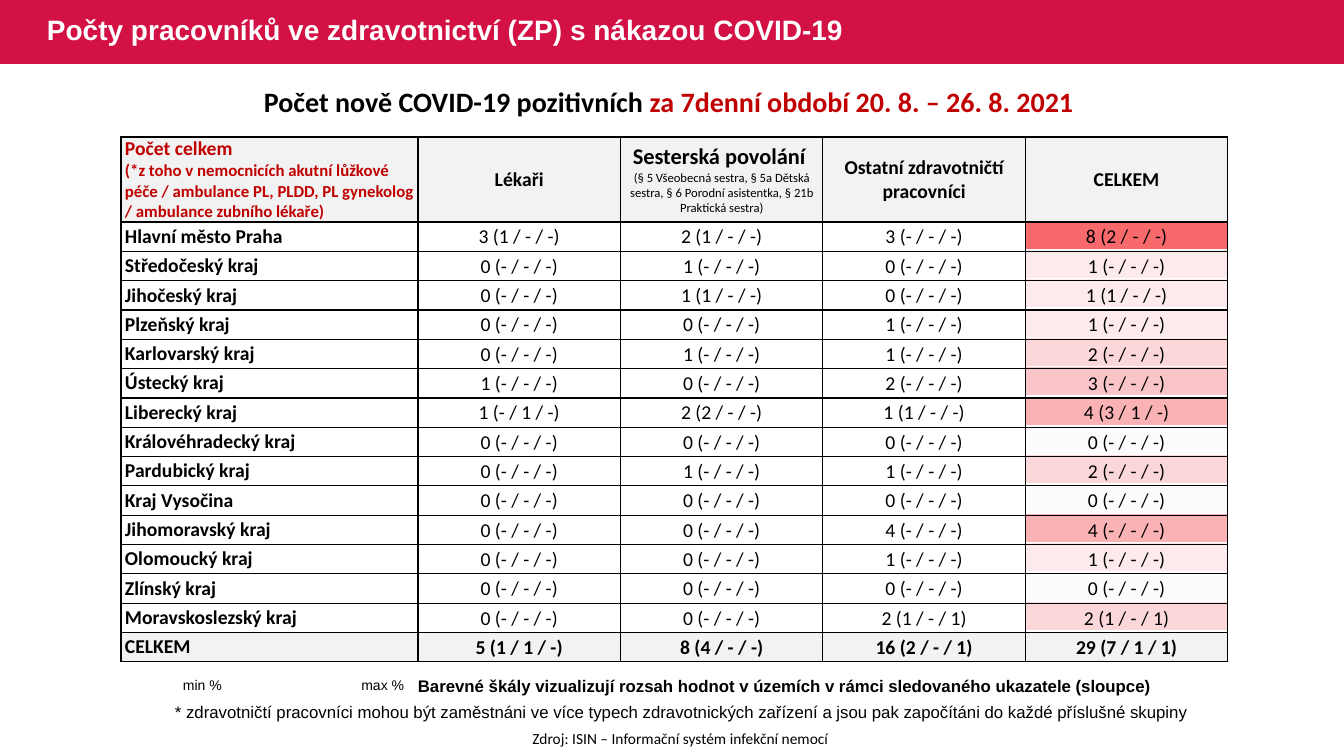
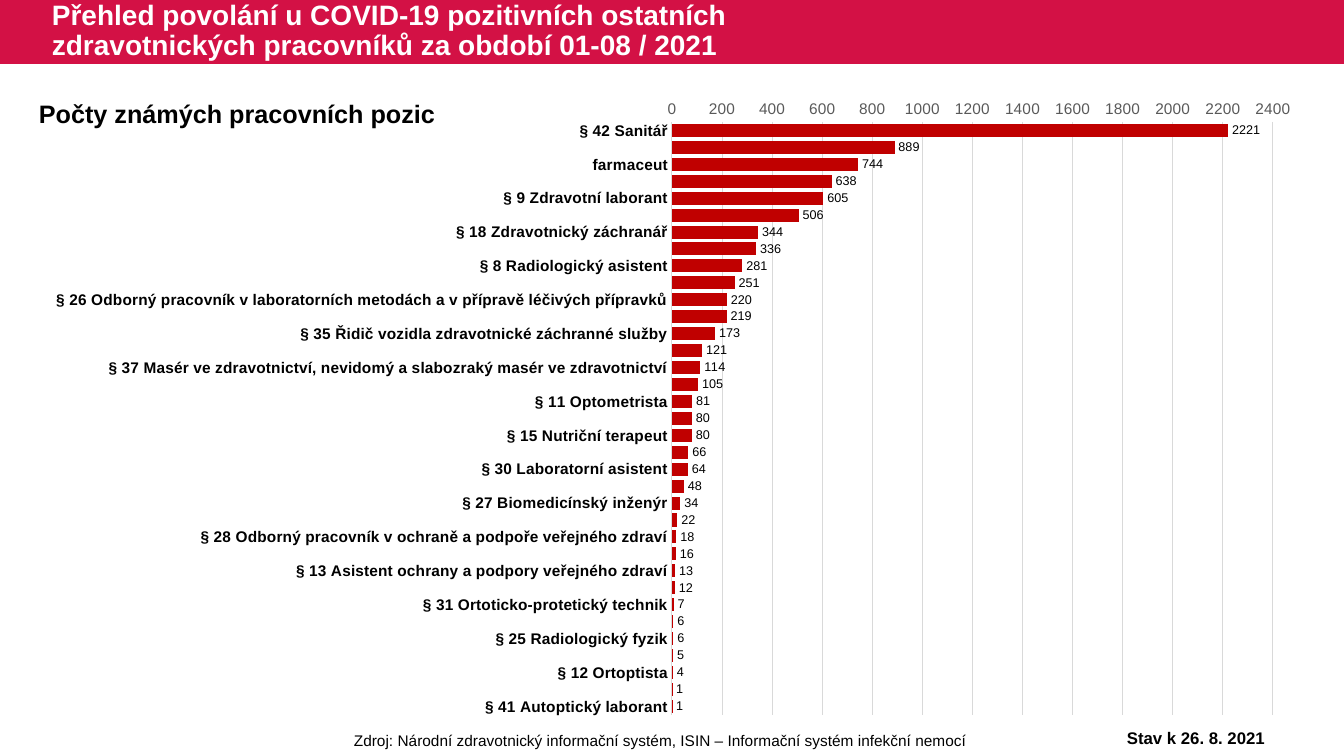
"""Build two slides on health workers infected with COVID-19."""
import dataclasses

import pptx
import pptx.chart.data
import pptx.dml.color
import pptx.enum.chart
import pptx.enum.shapes
import pptx.enum.text
import pptx.oxml
import pptx.oxml.ns
import pptx.util

ALIGN = pptx.enum.text.PP_ALIGN
ANCHOR = pptx.enum.text.MSO_ANCHOR
SLIDE_W, SLIDE_H = 1344, 756
EMU_PER_PX = 12192000 / SLIDE_W
HEADER_H, BODY_H = 85, 440
LABEL_MARGINS, COUNT_MARGINS = (4, 0, 4, 0), (1, 1, 1, 0)


@dataclasses.dataclass(frozen=True)
class Theme:
    """Colours, fonts and type sizes of the deck."""
    band: str = "D31145"
    red: str = "C00000"
    black: str = "000000"
    white: str = "FFFFFF"
    grey_fill: str = "F2F2F2"
    grid: str = "D9D9D9"
    axis_text: str = "595959"
    heat_low: str = "FCFCFF"
    heat_high: str = "F8696B"
    sans: str = "Arial"
    table_font: str = "Calibri"
    title: int = 20
    subtitle: int = 18
    group: int = 16
    cell: int = 14
    note: int = 12
    source: int = 11
    scale: int = 10
    small: int = 9


T = Theme()


@dataclasses.dataclass(frozen=True)
class Run:
    """A stretch of text in one style."""
    text: str
    size: int
    bold: bool = False
    color: str = T.black
    font: str = T.sans


REGIONS = [
    ("Hlavní město Praha", "3 (1 / - / -)", "2 (1 / - / -)", "3 (- / - / -)", "8 (2 / - / -)"),
    ("Středočeský kraj", "0 (- / - / -)", "1 (- / - / -)", "0 (- / - / -)", "1 (- / - / -)"),
    ("Jihočeský kraj", "0 (- / - / -)", "1 (1 / - / -)", "0 (- / - / -)", "1 (1 / - / -)"),
    ("Plzeňský kraj", "0 (- / - / -)", "0 (- / - / -)", "1 (- / - / -)", "1 (- / - / -)"),
    ("Karlovarský kraj", "0 (- / - / -)", "1 (- / - / -)", "1 (- / - / -)", "2 (- / - / -)"),
    ("Ústecký kraj", "1 (- / - / -)", "0 (- / - / -)", "2 (- / - / -)", "3 (- / - / -)"),
    ("Liberecký kraj", "1 (- / 1 / -)", "2 (2 / - / -)", "1 (1 / - / -)", "4 (3 / 1 / -)"),
    ("Královéhradecký kraj", "0 (- / - / -)", "0 (- / - / -)", "0 (- / - / -)", "0 (- / - / -)"),
    ("Pardubický kraj", "0 (- / - / -)", "1 (- / - / -)", "1 (- / - / -)", "2 (- / - / -)"),
    ("Kraj Vysočina", "0 (- / - / -)", "0 (- / - / -)", "0 (- / - / -)", "0 (- / - / -)"),
    ("Jihomoravský kraj", "0 (- / - / -)", "0 (- / - / -)", "4 (- / - / -)", "4 (- / - / -)"),
    ("Olomoucký kraj", "0 (- / - / -)", "0 (- / - / -)", "1 (- / - / -)", "1 (- / - / -)"),
    ("Zlínský kraj", "0 (- / - / -)", "0 (- / - / -)", "0 (- / - / -)", "0 (- / - / -)"),
    ("Moravskoslezský kraj", "0 (- / - / -)", "0 (- / - / -)", "2 (1 / - / 1)", "2 (1 / - / 1)"),
    ("CELKEM", "5 (1 / 1 / -)", "8 (4 / - / -)", "16 (2 / - / 1)", "29 (7 / 1 / 1)"),
]

POSITIONS = [
    ("§ 42 Sanitář", 2221),
    ("§ 24 Fyzioterapeut", 889),
    ("farmaceut", 744),
    ("§ 19 Farmaceutický asistent", 638),
    ("§ 9 Zdravotní laborant", 605),
    ("§ 36 Ošetřovatel", 506),
    ("§ 18 Zdravotnický záchranář", 344),
    ("§ 39 Zubní instrumentářka", 336),
    ("§ 8 Radiologický asistent", 281),
    ("§ 16 Zubní technik", 251),
    ("§ 26 Odborný pracovník v laboratorních metodách a v přípravě léčivých přípravků", 220),
    ("§ 40 Řidič zdravotnické dopravní služby", 219),
    ("§ 35 Řidič vozidla zdravotnické záchranné služby", 173),
    ("§ 17 Dentální hygienistka", 121),
    ("§ 37 Masér ve zdravotnictví, nevidomý a slabozraký masér ve zdravotnictví", 114),
    ("§ 22 Psycholog ve zdravotnictví", 105),
    ("§ 11 Optometrista", 81),
    ("§ 10 Zdravotně-sociální pracovník", 80),
    ("§ 15 Nutriční terapeut", 80),
    ("§ 7 Ergoterapeut", 66),
    ("§ 30 Laboratorní asistent", 64),
    ("§ 23 Logoped ve zdravotnictví", 48),
    ("§ 27 Biomedicínský inženýr", 34),
    ("§ 33 Asistent zubního technika", 22),
    ("§ 28 Odborný pracovník v ochraně a podpoře veřejného zdraví", 18),
    ("§ 21a Adiktolog", 16),
    ("§ 13 Asistent ochrany a podpory veřejného zdraví", 13),
    ("§ 14 Ortotik-protetik", 12),
    ("§ 31 Ortoticko-protetický technik", 7),
    ("§ 20 Biomedicínský technik", 6),
    ("§ 25 Radiologický fyzik", 6),
    ("§ 32 Nutriční asistent", 5),
    ("§ 12 Ortoptista", 4),
    ("§ 21 Radiologický technik", 1),
    ("§ 41 Autoptický laborant", 1),
]


def px(n):
    """Turn pixels into EMU."""
    return pptx.util.Emu(round(n * EMU_PER_PX))


def rgb(color):
    """Turn a hex string into a colour."""
    return pptx.dml.color.RGBColor.from_string(color)


def style_font(font, size, color, bold=False, name=T.sans):
    """Set the look of a font."""
    font.size, font.bold, font.name = pptx.util.Pt(size), bold, name
    font.color.rgb = rgb(color)


def write(tf, paragraphs, align=ALIGN.LEFT, spacing=None):
    """Fill a text frame with paragraphs, each a list of runs."""
    for i, runs in enumerate(paragraphs):
        p = tf.add_paragraph() if i else tf.paragraphs[0]
        p.alignment = align
        if spacing:
            p.line_spacing = spacing
        for run in runs:
            r = p.add_run()
            r.text = run.text
            style_font(r.font, run.size, run.color, run.bold, run.font)


def set_margins(box, left, top, right, bottom):
    """Set the inner margins of a cell or text frame."""
    box.margin_left, box.margin_top = px(left), px(top)
    box.margin_right, box.margin_bottom = px(right), px(bottom)


def add_text(slide, box, runs, align=ALIGN.LEFT, anchor=ANCHOR.TOP, spacing=None, inset=True):
    """Add a wrapped one-paragraph text box."""
    tf = slide.shapes.add_textbox(*map(px, box)).text_frame
    tf.word_wrap = True
    tf.vertical_anchor = anchor
    if not inset:
        set_margins(tf, 0, 0, 0, 0)
    write(tf, [runs], align, spacing)


def add_titled_slide(prs, title, left, width):
    """Add a slide with the red band and its title."""
    slide = prs.slides.add_slide(prs.slide_layouts[6])
    band = slide.shapes.add_shape(pptx.enum.shapes.MSO_SHAPE.RECTANGLE, 0, 0, px(SLIDE_W), px(64))
    band.shadow.inherit = False
    band.fill.solid()
    band.fill.fore_color.rgb = rgb(T.band)
    band.line.fill.background()
    add_text(slide, (left, 0, width, 63), [Run(title, T.title, True, T.white)],
             anchor=ANCHOR.MIDDLE, spacing=0.9)
    return slide


def heat_color(value, top):
    """Blend the low and high heat colours by value."""
    low, high = rgb(T.heat_low), rgb(T.heat_high)
    return "".join(f"{round(a + (b - a) * value / top):02X}" for a, b in zip(low, high))


def set_borders(cell):
    """Draw a thin black line on every side of a cell."""
    tc_pr = cell._tc.get_or_add_tcPr()
    for i, side in enumerate("LRTB"):
        tc_pr.insert(i, pptx.oxml.parse_xml(
            f'<a:ln{side} {pptx.oxml.ns.nsdecls("a")} w="12700"><a:solidFill>'
            f'<a:srgbClr val="{T.black}"/></a:solidFill></a:ln{side}>'))


def fill_cell(cell, fill):
    """Give a cell a solid fill, or none."""
    if fill:
        cell.fill.solid()
        cell.fill.fore_color.rgb = rgb(fill)
    else:
        cell.fill.background()


def set_cell(cell, paragraphs, align, margins, fill=None):
    """Write, fill and frame one table cell."""
    cell.vertical_anchor = ANCHOR.MIDDLE
    set_margins(cell, *margins)
    write(cell.text_frame, paragraphs, align)
    fill_cell(cell, fill)
    set_borders(cell)


def table_run(text, size=T.cell, bold=True, color=T.black):
    """Make a run in the table font."""
    return Run(text, size, bold, color, T.table_font)


def add_plain_table(slide, left, top, widths, heights):
    """Add a table without banding, with given columns and rows."""
    table = slide.shapes.add_table(len(heights), len(widths), px(left), px(top),
                                   px(sum(widths)), px(sum(heights))).table
    table.first_row = table.horz_banding = False
    for column, width in zip(table.columns, widths):
        column.width = px(width)
    for row, height in zip(table.rows, heights):
        row.height = px(height)
    return table


def add_heat_table(slide):
    """Add the colour scale that lies under the total column."""
    totals = [int(row[-1].split()[0]) for row in REGIONS[:-1]]
    fills = [heat_color(total, max(totals)) for total in totals] + [None]
    table = add_plain_table(slide, 1024, 220, [204], [BODY_H / len(fills)] * len(fills))
    for cell, fill in zip(table.iter_cells(), fills):
        set_margins(cell, *COUNT_MARGINS)
        cell.text_frame.paragraphs[0]._p.get_or_add_endParaRPr().set("sz", str(T.cell * 100))
        fill_cell(cell, fill)


def add_region_table(slide):
    """Add the table of regions."""
    header = [
        [[table_run("Počet celkem", color=T.red)],
         [table_run("(*z toho v nemocnicích akutní lůžkové péče / ambulance PL, PLDD, PL gynekolog "
                    "/ ambulance zubního lékaře)", T.note, color=T.red)]],
        [[table_run("Lékaři")]],
        [[table_run("Sesterská povolání ", T.group)],
         [table_run("(§ 5 Všeobecná sestra, § 5a Dětská sestra, § 6 Porodní asistentka, "
                    "§ 21b Praktická sestra)", T.small, False)]],
        [[table_run("Ostatní zdravotničtí pracovníci")]],
        [[table_run("CELKEM")]],
    ]
    n = len(REGIONS)
    table = add_plain_table(slide, 121, 137, [297] + [810 / 4] * 4, [HEADER_H] + [BODY_H / n] * n)
    for c, paragraphs in enumerate(header):
        set_cell(table.cell(0, c), paragraphs, ALIGN.CENTER if c else ALIGN.LEFT,
                 LABEL_MARGINS, T.grey_fill)
    for r, row in enumerate(REGIONS, 1):
        for c, text in enumerate(row):
            set_cell(table.cell(r, c), [[table_run(text, bold=r == n or c == 0)]],
                     ALIGN.CENTER if c else ALIGN.LEFT,
                     COUNT_MARGINS if c else LABEL_MARGINS, T.grey_fill if r == n else None)


def set_plot_area(chart, *fractions):
    """Fix the inner plot area as fractions of the chart."""
    plot_area = chart._chartSpace.chart.plotArea
    for old in plot_area.findall(pptx.oxml.ns.qn("c:layout")):
        plot_area.remove(old)
    sizes = "".join(f'<c:{k} val="{v}"/>' for k, v in zip("xywh", fractions))
    plot_area.insert(0, pptx.oxml.parse_xml(
        f'<c:layout {pptx.oxml.ns.nsdecls("c")}><c:manualLayout><c:layoutTarget val="inner"/>'
        f'<c:xMode val="edge"/><c:yMode val="edge"/>{sizes}</c:manualLayout></c:layout>'))


def style_line(line):
    """Give a chart line the thin grey look."""
    line.color.rgb = rgb(T.grid)
    line.width = pptx.util.Pt(0.75)


def add_position_chart(slide):
    """Add the bar chart of work positions."""
    xl = pptx.enum.chart
    data = pptx.chart.data.CategoryChartData()
    data.categories = [name for name, _ in POSITIONS]
    data.add_series("Series 1", [count for _, count in POSITIONS])
    w, h = 1307, 647
    chart = slide.shapes.add_chart(xl.XL_CHART_TYPE.BAR_CLUSTERED, px(4), px(81), px(w), px(h),
                                   data).chart
    chart.has_title = chart.has_legend = False
    style_font(chart.font, T.scale, T.black)
    set_plot_area(chart, 668 / w, 41 / h, 601 / w, 593 / h)

    names, counts = chart.category_axis, chart.value_axis
    for axis in (names, counts):
        axis.major_tick_mark = axis.minor_tick_mark = xl.XL_TICK_MARK.NONE
    names.reverse_order = True
    style_font(names.tick_labels.font, T.source, T.black, True)
    style_line(names.format.line)
    counts.minimum_scale, counts.maximum_scale, counts.major_unit = 0, 2400, 200
    style_font(counts.tick_labels.font, T.source, T.axis_text)
    counts.format.line.fill.background()
    style_line(counts.major_gridlines.format.line)

    plot = chart.plots[0]
    plot.gap_width, plot.overlap, plot.vary_by_categories = 30, 100, False
    series = plot.series[0]
    series.invert_if_negative = False
    series.format.fill.solid()
    series.format.fill.fore_color.rgb = rgb(T.red)
    labels = series.data_labels
    labels.show_value = True
    labels.position = xl.XL_LABEL_POSITION.OUTSIDE_END
    style_font(labels.font, T.small, T.black)


def build_region_slide(prs):
    """Build the slide of new cases by region."""
    slide = add_titled_slide(prs, "Počty pracovníků ve zdravotnictví (ZP) s nákazou COVID-19", 37, 867)
    add_heat_table(slide)
    add_region_table(slide)
    add_text(slide, (67, 80, 1210, 44),
             [table_run("Počet nově COVID-19 pozitivních ", T.title),
              table_run("za 7denní období 20. 8. – 26. 8. 2021 ", T.title, color=T.red)], ALIGN.CENTER)
    for left, text, align in ((183, "min %", ALIGN.LEFT), (344, "max %", ALIGN.RIGHT)):
        add_text(slide, (left, 677, 60, 17), [Run(text, T.scale)], align, inset=False)
    add_text(slide, (408, 671, 778, 30), [Run(
        "Barevné škály vizualizují rozsah hodnot v územích v rámci sledovaného ukazatele (sloupce)",
        T.note, True)])
    add_text(slide, (165, 697, 1034, 30), [Run(
        "* zdravotničtí pracovníci mohou být zaměstnáni ve více typech zdravotnických zařízení "
        "a jsou pak započítáni do každé příslušné skupiny", T.note)])
    add_text(slide, (330, 724, 701, 29), [table_run(
        "Zdroj: ISIN – Informační systém infekční nemocí", T.source, False)], ALIGN.CENTER)


def build_position_slide(prs):
    """Build the slide of cases by work position."""
    slide = add_titled_slide(prs, "Přehled povolání u COVID-19 pozitivních ostatních "
                             "zdravotnických pracovníků za období 01-08 / 2021", 42, 833)
    add_position_chart(slide)
    add_text(slide, (29, 93, 440, 40), [Run("Počty známých pracovních pozic", T.subtitle, True)])
    add_text(slide, (238, 726, 845, 29), [Run(
        "Zdroj: Národní zdravotnický informační systém, ISIN – Informační systém infekční nemocí",
        T.source)], ALIGN.CENTER)
    add_text(slide, (1085, 723, 222, 30), [Run("Stav k 26. 8. 2021", T.note, True)], ALIGN.CENTER)


def main():
    """Build and save the deck."""
    prs = pptx.Presentation()
    prs.slide_width, prs.slide_height = px(SLIDE_W), px(SLIDE_H)
    build_region_slide(prs)
    build_position_slide(prs)
    prs.save("out.pptx")


if __name__ == "__main__":
    main()
